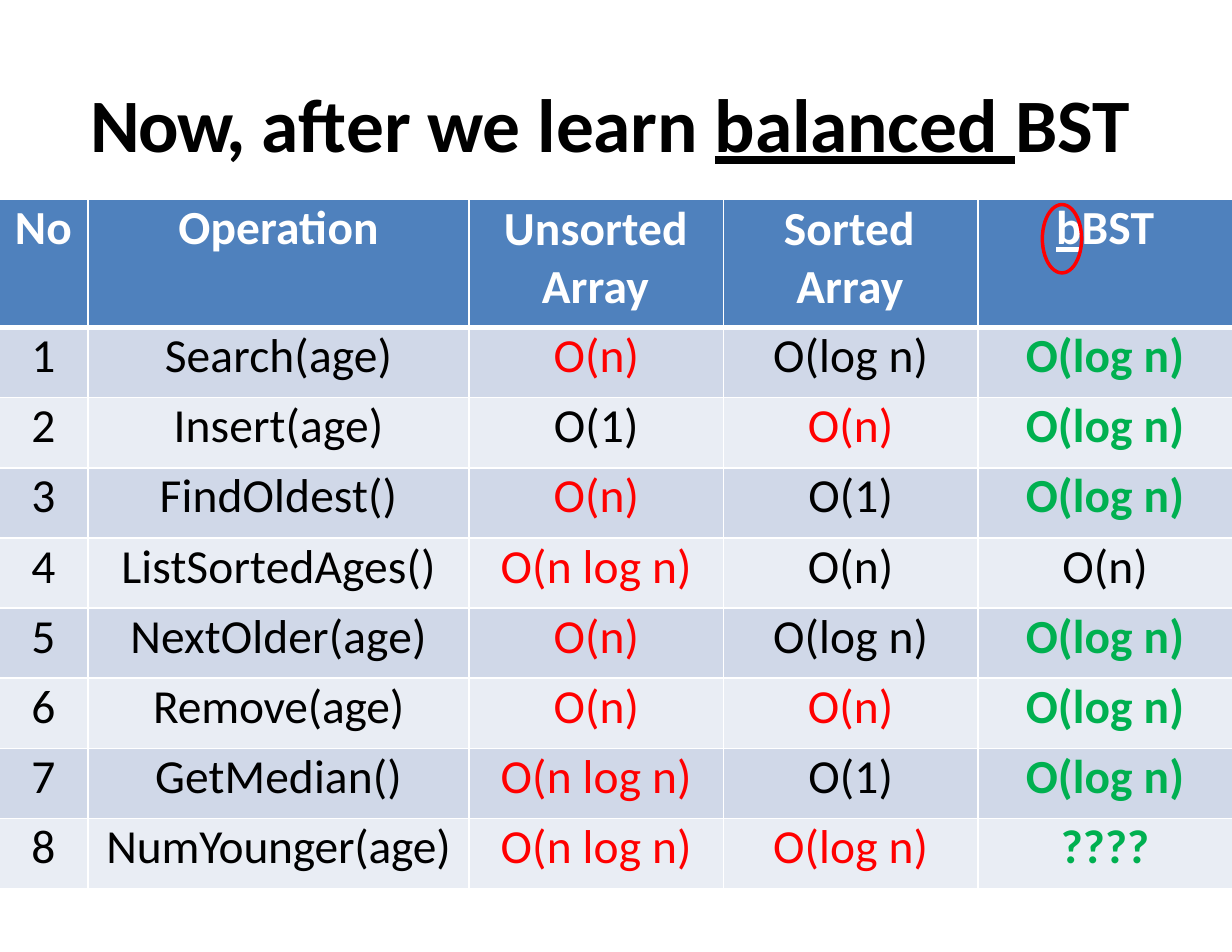
from dataclasses import dataclass

from lxml import etree
from pptx import Presentation
from pptx.dml.color import RGBColor
from pptx.enum.shapes import MSO_SHAPE
from pptx.enum.text import MSO_ANCHOR, PP_ALIGN
from pptx.oxml.ns import qn
from pptx.util import Cm, Pt

OVAL = MSO_SHAPE.OVAL
TOP = MSO_ANCHOR.TOP
LEFT, CENTER = PP_ALIGN.LEFT, PP_ALIGN.CENTER


@dataclass(frozen=True)
class Theme:
    """Colours, font and type sizes of the slide."""
    font: str = "Calibri"
    black: str = "000000"
    white: str = "FFFFFF"
    red: str = "FF0000"
    green: str = "00B050"
    header: str = "4F81BD"
    bands: tuple = ("D0D8E8", "E9EDF4")
    title_size: float = 48.5
    table_size: float = 30.5
    thin: float = 1.1
    thick: float = 3.3


THEME = Theme()
TONES = {"k": THEME.black, "r": THEME.red, "g": THEME.green}

TITLE = [("Now, ", False, -1), ("after we ", False, -0.2), ("learn ", False, -0.1),
         ("balanced", True, -0.1), (" ", True, 0.7), ("BST", False, -0.2)]
HEADERS = ["No", "Operation", "Unsorted Array", "Sorted Array", "bBST"]
HANGING = {"Unsorted Array": -0.86, "Sorted Array": -0.28}
ROWS = [
    ("Search(age)", "O(n)", "O(log n)", "O(log n)", "rkg"),
    ("Insert(age)", "O(1)", "O(n)", "O(log n)", "krg"),
    ("FindOldest()", "O(n)", "O(1)", "O(log n)", "rkg"),
    ("ListSortedAges()", "O(n log n)", "O(n)", "O(n)", "rkk"),
    ("NextOlder(age)", "O(n)", "O(log n)", "O(log n)", "rkg"),
    ("Remove(age)", "O(n)", "O(n)", "O(log n)", "rrg"),
    ("GetMedian()", "O(n log n)", "O(1)", "O(log n)", "rkg"),
    ("NumYounger(age)", "O(n log n)", "O(log n)", "????", "rrg"),
]
COL_WIDTHS = [2.03, 8.64, 5.77, 5.77, 5.77]
HEADER_HEIGHT, ROW_HEIGHT = 2.9, 1.59


def add_run(p, text, size=THEME.table_size, color=THEME.black, bold=False,
            underline=False, spacing=0.1):
    """Append a formatted run to a paragraph."""
    r = p.add_run()
    r.text = text
    r.font.name = THEME.font
    r.font.size = Pt(size)
    r.font.bold = bold
    r.font.underline = underline
    r.font.color.rgb = RGBColor.from_string(color)
    r._r.get_or_add_rPr().set("spc", str(round(spacing * 100)))


def clear_margins(box):
    """Remove the inner margins of a text frame or cell."""
    box.margin_left = box.margin_right = box.margin_top = box.margin_bottom = 0


def add_title(slide):
    """Add the bold title line."""
    tf = slide.shapes.add_textbox(Cm(2.06), Cm(1.75), Cm(23.83), Cm(2.18)).text_frame
    clear_margins(tf)
    tf.word_wrap = True
    p = tf.paragraphs[0]
    p.alignment = LEFT
    for text, underline, spacing in TITLE:
        add_run(p, text, size=THEME.title_size, bold=True,
                underline=underline, spacing=spacing)


def add_border(cell, side, width):
    """Draw one white edge of a cell."""
    ln = etree.SubElement(cell._tc.get_or_add_tcPr(), qn(f"a:ln{side}"),
                          w=str(Pt(width)))
    fill = etree.SubElement(ln, qn("a:solidFill"))
    etree.SubElement(fill, qn("a:srgbClr"), val=THEME.white)


def style_cell(cell, row):
    """Set borders, fill and margins, and return the paragraph."""
    clear_margins(cell)
    cell.vertical_anchor = TOP
    for side in "LRTB":
        heavy = (side, row) in (("B", 0), ("T", 1))
        add_border(cell, side, THEME.thick if heavy else THEME.thin)
    color = THEME.bands[(row - 1) % 2] if row else THEME.header
    cell.fill.solid()
    cell.fill.fore_color.rgb = RGBColor.from_string(color)
    p = cell.text_frame.paragraphs[0]
    p.alignment = CENTER
    p.space_before = Pt(0.6 if row == 1 else 1.7)
    return p


def fill_header(table):
    """Write the header row."""
    for col, text in enumerate(HEADERS):
        p = style_cell(table.cell(0, col), 0)
        if text in HANGING:
            p.alignment = LEFT
            p.line_spacing = 1.01
            p.space_before = Pt(1.4)
            pPr = p._p.get_or_add_pPr()
            pPr.set("marL", str(Cm(1.65)))
            pPr.set("indent", str(Cm(HANGING[text])))
        if text == "bBST":
            add_run(p, "b", color=THEME.white, bold=True, underline=True)
            text = "BST"
        add_run(p, text, color=THEME.white, bold=True)


def fill_body(table):
    """Write the numbered operation rows."""
    for row, (*texts, tones) in enumerate(ROWS, 1):
        for col, (text, tone) in enumerate(zip([str(row), *texts], "kk" + tones)):
            p = style_cell(table.cell(row, col), row)
            add_run(p, text, color=TONES[tone], bold=tone == "g",
                    spacing=-0.1 if text in ("Remove(age)", "NumYounger(age)") else 0.1)


def add_complexity_table(slide):
    """Add the comparison table."""
    height = HEADER_HEIGHT + ROW_HEIGHT * len(ROWS)
    table = slide.shapes.add_table(len(ROWS) + 1, len(HEADERS), Cm(-0.03), Cm(4.53),
                                   Cm(sum(COL_WIDTHS)), Cm(height)).table
    for column, width in zip(table.columns, COL_WIDTHS):
        column.width = Cm(width)
    for i, row in enumerate(table.rows):
        row.height = Cm(ROW_HEIGHT if i else HEADER_HEIGHT)
    fill_header(table)
    fill_body(table)


def add_ring(slide, left, top, width, height):
    """Add an unfilled red oval."""
    sp = slide.shapes.add_shape(OVAL, Cm(left), Cm(top), Cm(width), Cm(height))
    sp.shadow.inherit = False
    sp.fill.background()
    sp.line.color.rgb = RGBColor.from_string(THEME.red)
    sp.line.width = Pt(2.25)


def main():
    """Build and save the slide."""
    prs = Presentation()
    prs.slide_width, prs.slide_height = Cm(27.94), Cm(21.59)
    slide = prs.slides.add_slide(prs.slide_layouts[6])
    add_title(slide)
    add_complexity_table(slide)
    add_ring(slide, 23.64, 4.64, 0.89, 1.55)
    prs.save("out.pptx")


if __name__ == "__main__":
    main()
